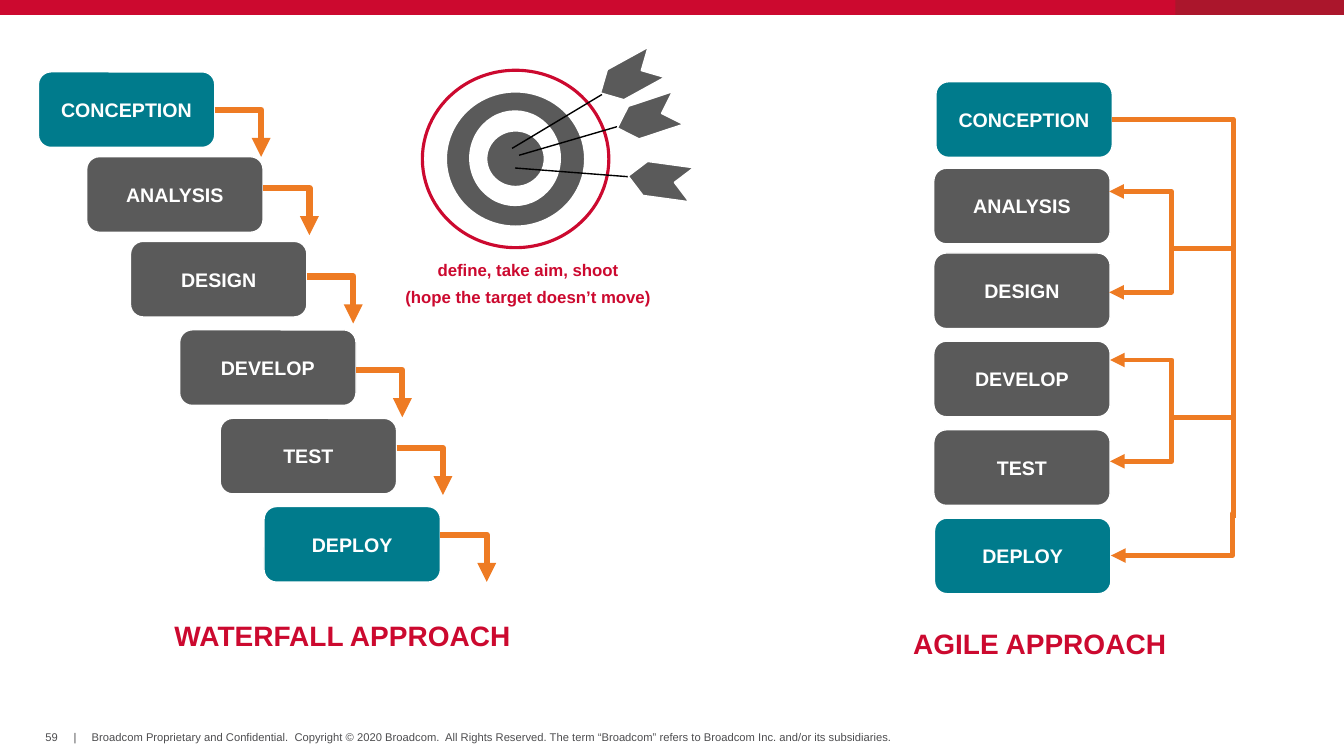
"""Build a slide that contrasts the waterfall and agile approaches."""
from typing import NamedTuple

from pptx import Presentation
from pptx import util as u
from pptx.dml.color import RGBColor
from pptx.enum import shapes, text
from pptx.oxml import ns, xmlchemy

RED = RGBColor(0xCC, 0x09, 0x2F)
DARK_RED = RGBColor(0xAB, 0x16, 0x2C)
TEAL = RGBColor(0x00, 0x7B, 0x8C)
GREY = RGBColor(0x5A, 0x5A, 0x5A)
FOOTER_GREY = RGBColor(0x4D, 0x4D, 0x4F)
ORANGE = RGBColor(0xEE, 0x7B, 0x23)
WHITE = RGBColor(0xFF, 0xFF, 0xFF)
BLACK = RGBColor(0x00, 0x00, 0x00)

KIND = shapes.MSO_SHAPE
LINE = shapes.MSO_CONNECTOR
STEP_WIDTH, STEP_HEIGHT = 126, 54
ARROW_RUN, ARROW_DROP = 33.1, 33.6
TRUNK_X = 881


class Step(NamedTuple):
    """A stage with its place in both approaches."""
    label: str
    color: RGBColor
    fall_x: float
    fall_y: float
    arrow_y: float
    agile_x: float
    agile_y: float


class Ring(NamedTuple):
    """One disc of the target."""
    x: float
    y: float
    width: float
    height: float
    fill: RGBColor
    outline: RGBColor


class Dart(NamedTuple):
    """A dart: shaft ends, then the place and turn of its flight."""
    tip_x: float
    tip_y: float
    tail_x: float
    tail_y: float
    flight_x: float
    flight_y: float
    turn: float


class Fork(NamedTuple):
    """A pair of arrows that leave the trunk at one height."""
    root_y: float
    upper_y: float
    lower_y: float
    tip_x: float


class Caption(NamedTuple):
    """Free text with its box and format."""
    words: str
    x: float
    y: float
    width: float
    height: float
    size: float
    color: RGBColor
    bold: bool = True
    align: text.PP_ALIGN = text.PP_ALIGN.LEFT
    wrap: bool = False
    spacing: float = 0.9
    anchor: text.MSO_ANCHOR = text.MSO_ANCHOR.TOP


STEPS = [
    Step("CONCEPTION", TEAL, 27.4, 51.3, 78.5, 668.5, 58.4),
    Step("ANALYSIS", GREY, 61.9, 111.9, 134.3, 667, 120.2),
    Step("DESIGN", GREY, 93.2, 172.4, 197.4, 667, 180.7),
    Step("DEVELOP", GREY, 128.3, 235.6, 264.4, 667, 243.7),
    Step("TEST", GREY, 157.3, 298.8, 320, 667, 307),
    Step("DEPLOY", TEAL, 188.6, 361.8, 382, 667.5, 370.1),
]
RINGS = [
    Ring(301.7, 50.2, 133.2, 126.7, WHITE, RED),
    Ring(318.2, 65, 100.1, 97.2, GREY, WHITE),
    Ring(336.2, 79.9, 63.4, 66.2, WHITE, WHITE),
    Ring(347, 92.9, 42.5, 41, GREY, WHITE),
]
DARTS = [
    Dart(365.8, 106, 430, 67.5, 426.2, 43.2, 151.2),
    Dart(370.8, 110.9, 440.8, 90.5, 439.9, 72, 161.7),
    Dart(367.9, 120, 448.5, 126.2, 448.6, 116.6, 187.8),
]
FORKS = [Fork(177.4, 136.8, 208.8, 792.3), Fork(298, 257.2, 329.5, 793)]
CAPTIONS = [
    Caption("WATERFALL APPROACH", 124.6, 444.2, 242.6, 21.6, 20, RED),
    Caption("AGILE APPROACH", 652.3, 450, 182.2, 21.6, 20, RED),
    Caption("define, take aim, shoot\n(hope the target doesn’t move)",
            288.7, 187.2, 177.1, 32.4, 12, RED, align=text.PP_ALIGN.CENTER),
    Caption("59", 32.4, 522, 10.1, 9.4, 8, FOOTER_GREY, False, spacing=1,
            anchor=text.MSO_ANCHOR.MIDDLE),
    Caption("|", 52.6, 522, 2.2, 9.4, 8, FOOTER_GREY, False, spacing=1,
            anchor=text.MSO_ANCHOR.MIDDLE),
    Caption("Broadcom Proprietary and Confidential.  Copyright © 2020 Broadcom.  "
            "All Rights Reserved. The term “Broadcom” refers to Broadcom Inc. "
            "and/or its subsidiaries.",
            65.5, 522, 576.7, 9.4, 8, FOOTER_GREY, False, wrap=True, spacing=1),
]


def write(frame, words: str, *, size: float, color: RGBColor, bold: bool = True,
          align=text.PP_ALIGN.CENTER, spacing: float = 1,
          anchor=text.MSO_ANCHOR.MIDDLE) -> None:
    """Fill a text frame, one paragraph per line."""
    frame.vertical_anchor = anchor
    for index, line in enumerate(words.split("\n")):
        paragraph = frame.add_paragraph() if index else frame.paragraphs[0]
        paragraph.alignment = align
        paragraph.line_spacing = spacing
        if index:
            paragraph.space_before = u.Pt(6)
        run = paragraph.add_run()
        run.text = line
        run.font.name = "Arial"
        run.font.size = u.Pt(size)
        run.font.bold = bold
        run.font.color.rgb = color


def add_block(slide, kind, x: float, y: float, width: float, height: float,
              fill: RGBColor, outline: RGBColor | None = WHITE,
              weight: float = 1, turn: float = 0):
    """Add a filled preset shape."""
    block = slide.shapes.add_shape(kind, *map(u.Pt, (x, y, width, height)))
    block.shadow.inherit = False
    block.fill.solid()
    block.fill.fore_color.rgb = fill
    block.rotation = turn
    if outline is None:
        block.line.fill.background()
    else:
        block.line.color.rgb = outline
        block.line.width = u.Pt(weight)
    return block


def add_line(slide, kind, start: tuple, end: tuple, color: RGBColor, weight: float,
             preset: str = "", arrow: bool = False, bend: int | None = None) -> None:
    """Add a straight or bent line, with an arrowhead if wanted."""
    line = slide.shapes.add_connector(kind, *map(u.Pt, (*start, *end)))
    line.line.color.rgb = color
    line.line.width = u.Pt(weight)
    properties = line._element.spPr
    geometry = properties.find(ns.qn("a:prstGeom"))
    if preset:
        geometry.set("prst", preset)
    if bend is not None:
        guide = xmlchemy.OxmlElement("a:gd")
        guide.set("name", "adj1")
        guide.set("fmla", f"val {bend}")
        geometry.find(ns.qn("a:avLst")).append(guide)
    if arrow:
        head = xmlchemy.OxmlElement("a:tailEnd")
        head.set("type", "triangle")
        properties.find(ns.qn("a:ln")).append(head)
    properties.append(xmlchemy.OxmlElement("a:effectLst"))


def add_step(slide, step: Step, x: float, y: float) -> None:
    """Add the labelled box of a stage."""
    box = add_block(slide, KIND.ROUNDED_RECTANGLE, x, y, STEP_WIDTH, STEP_HEIGHT, step.color)
    write(box.text_frame, step.label, size=14, color=WHITE)


def add_caption(slide, caption: Caption) -> None:
    """Add a text box without margins."""
    box = slide.shapes.add_textbox(*map(u.Pt, caption[1:5]))
    frame = box.text_frame
    frame.margin_left = frame.margin_right = frame.margin_top = frame.margin_bottom = 0
    frame.word_wrap = caption.wrap
    write(frame, caption.words, size=caption.size, color=caption.color, bold=caption.bold,
          align=caption.align, spacing=caption.spacing, anchor=caption.anchor)


def main() -> None:
    """Draw the slide and save it."""
    deck = Presentation()
    deck.slide_width, deck.slide_height = u.Pt(960), u.Pt(540)
    slide = deck.slides.add_slide(deck.slide_layouts[6])
    add_block(slide, KIND.RECTANGLE, 0, 0, 960, 10.6, RED, None)
    add_block(slide, KIND.RECTANGLE, 839.5, 0, 120.5, 10.6, DARK_RED, None)
    for step in STEPS:
        add_step(slide, step, step.fall_x, step.fall_y)
        add_step(slide, step, step.agile_x, step.agile_y)
    for step in STEPS:
        right = step.fall_x + STEP_WIDTH
        add_line(slide, LINE.ELBOW, (right, step.arrow_y),
                 (right + ARROW_RUN, step.arrow_y + ARROW_DROP),
                 ORANGE, 4.5, "bentConnector2", True)
    add_line(slide, LINE.ELBOW, (794.3, 85.2), (TRUNK_X, 370), ORANGE, 3.5, "bentConnector2")
    for fork in FORKS:
        for tip_y in (fork.lower_y, fork.upper_y):
            add_line(slide, LINE.ELBOW, (TRUNK_X, fork.root_y), (fork.tip_x, tip_y),
                     ORANGE, 3.5, arrow=True)
    add_line(slide, LINE.ELBOW, (TRUNK_X, 367), (793.6, 396.8), ORANGE, 3.5, arrow=True, bend=700)
    for ring in RINGS:
        add_block(slide, KIND.OVAL, *ring, weight=2.25)
    for dart in DARTS:
        add_line(slide, LINE.STRAIGHT, dart[:2], dart[2:4], BLACK, 1)
    for dart in DARTS:
        add_block(slide, KIND.CHEVRON, dart.flight_x, dart.flight_y, 45.4, 24.5, GREY,
                  turn=dart.turn)
    for caption in CAPTIONS:
        add_caption(slide, caption)
    deck.save("out.pptx")


if __name__ == "__main__":
    main()
